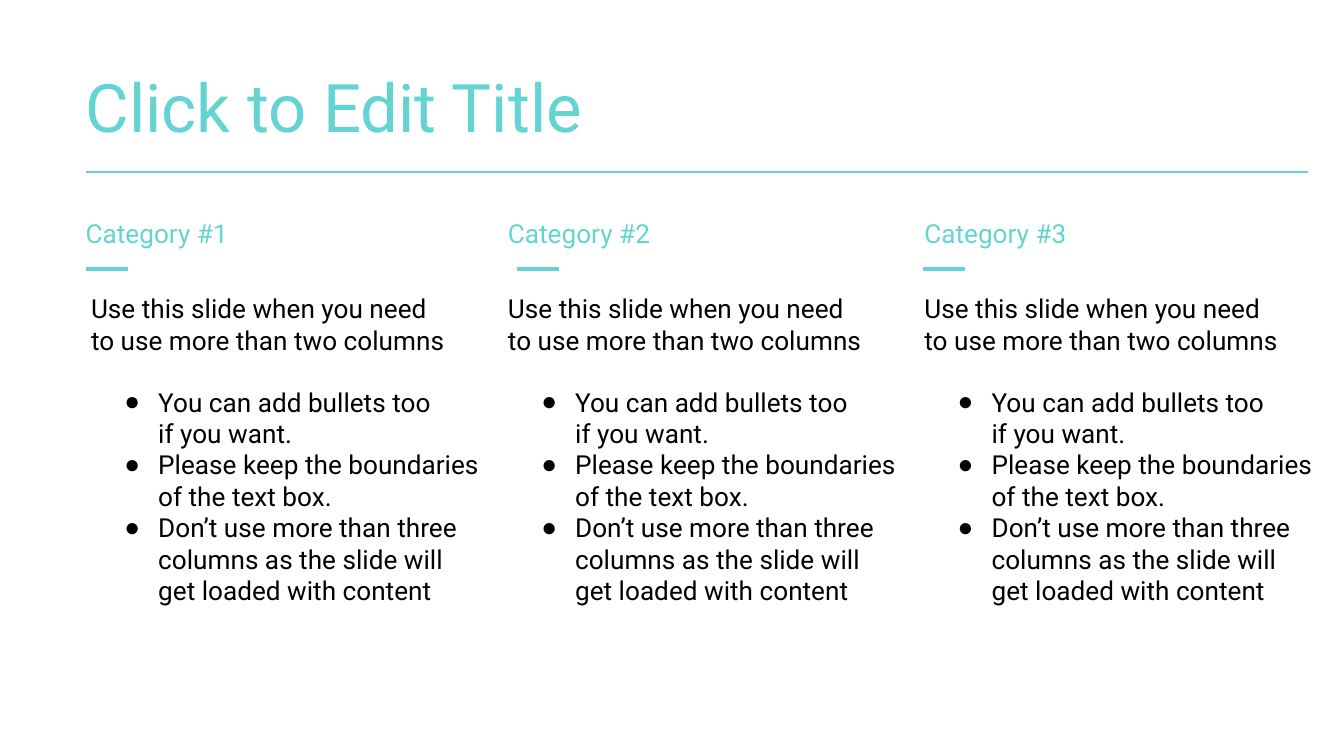
import pptx
import pptx.util
import pptx.dml.color
import pptx.enum.shapes
import pptx.enum.text
import pptx.oxml
import pptx.oxml.ns
from dataclasses import dataclass

Cm, Pt = pptx.util.Cm, pptx.util.Pt
ANCHOR = pptx.enum.text.MSO_ANCHOR

# Content
TITLE = "Click to Edit Title"
INTRO = "Use this slide when you need\vto use more than two columns"
BULLETS = [
    "You can add bullets too\vif you want.",
    "Please keep the boundaries of the text box.",
    "Don’t use more than three columns as the slide will get loaded with content",
]
# Left edges in cm of each column's heading, short rule and list
COLUMNS = [
    {"heading": "Category #1", "left": 1.37, "rule": 1.63, "list": 1.47},
    {"heading": "Category #2", "left": 9.35, "rule": 9.78, "list": 9.35},
    {"heading": "Category #3", "left": 17.22, "rule": 17.45, "list": 17.22},
]


@dataclass(frozen=True)
class Theme:
    font: str = "Roboto"
    accent: str = "64D4D2"
    text: str = "000000"
    title_size: float = 35.9
    body_size: float = 14
    inset: float = 0.25
    bullet_left: float = 1.27
    bullet_hang: float = 0.64
    bullet_gap: float = 16.5


THEME = Theme()


def place(shape, left, top, width, height):
    shape.left, shape.top = Cm(left), Cm(top)
    shape.width, shape.height = Cm(width), Cm(height)


def write_paragraph(paragraph, text, size=THEME.body_size, color=THEME.text,
                    bullet=False, before=0):
    paragraph.text = text
    paragraph.alignment = pptx.enum.text.PP_ALIGN.LEFT
    paragraph.space_before = Pt(before)
    properties = paragraph._p.get_or_add_pPr()
    properties.set("marL", str(Cm(THEME.bullet_left) if bullet else 0))
    properties.set("indent", str(-Cm(THEME.bullet_hang) if bullet else 0))
    mark = pptx.oxml.ns.qn("a:buChar" if bullet else "a:buNone")
    element = properties.makeelement(mark, {"char": "●"} if bullet else {})
    properties.append(element)
    font = paragraph.font
    font.name, font.size, font.bold = THEME.font, Pt(size), False
    font.color.rgb = pptx.dml.color.RGBColor.from_string(color)


def prepare_frame(shape, anchor=ANCHOR.TOP):
    frame = shape.text_frame
    frame.word_wrap = True
    frame.auto_size = pptx.enum.text.MSO_AUTO_SIZE.NONE
    frame.vertical_anchor = anchor
    frame.margin_left = frame.margin_right = Cm(THEME.inset)
    frame.margin_top = frame.margin_bottom = Cm(THEME.inset)
    return frame


def add_rule(slide, left, top, width, weight):
    line = slide.shapes.add_connector(
        pptx.enum.shapes.MSO_CONNECTOR.STRAIGHT,
        Cm(left), Cm(top), Cm(left + width), Cm(top))
    line.line.color.rgb = pptx.dml.color.RGBColor.from_string(THEME.accent)
    line.line.width = Pt(weight)
    properties = line._element.spPr
    properties.append(properties.makeelement(pptx.oxml.ns.qn("a:effectLst"), {}))


def add_column(slide, column, body):
    # Heading and its short rule
    heading = slide.shapes.add_textbox(0, 0, 0, 0)
    place(heading, column["left"], 3.86, 4.29, 1.07)
    write_paragraph(prepare_frame(heading).paragraphs[0], column["heading"],
                    color=THEME.accent)
    add_rule(slide, column["rule"], 5.08, 0.79, 2.25)

    # Introduction and bullets
    place(body, column["list"], 5.28, 7.98, 6.15)
    frame = prepare_frame(body)
    write_paragraph(frame.paragraphs[0], INTRO)
    for index, text in enumerate(BULLETS):
        write_paragraph(frame.add_paragraph(), text, bullet=True,
                        before=0 if index else THEME.bullet_gap)


def main():
    presentation = pptx.Presentation()
    presentation.slide_width, presentation.slide_height = Cm(25.4), Cm(14.29)
    # The comparison layout has enough body placeholders for three columns
    slide = presentation.slides.add_slide(presentation.slide_layouts[4])

    # Title and full-width rule
    title = slide.shapes.title
    place(title, 1.37, 0.91, 21.74, 2.16)
    write_paragraph(prepare_frame(title, ANCHOR.MIDDLE).paragraphs[0], TITLE,
                    size=THEME.title_size, color=THEME.accent)
    add_rule(slide, 1.63, 3.25, 23.09, 0.75)

    # Columns
    bodies = [shape for shape in slide.placeholders
              if shape.placeholder_format.idx > 0]
    for column, body in zip(COLUMNS, bodies):
        add_column(slide, column, body)
    for spare in bodies[len(COLUMNS):]:
        spare._element.getparent().remove(spare._element)

    presentation.save("out.pptx")


if __name__ == "__main__":
    main()
